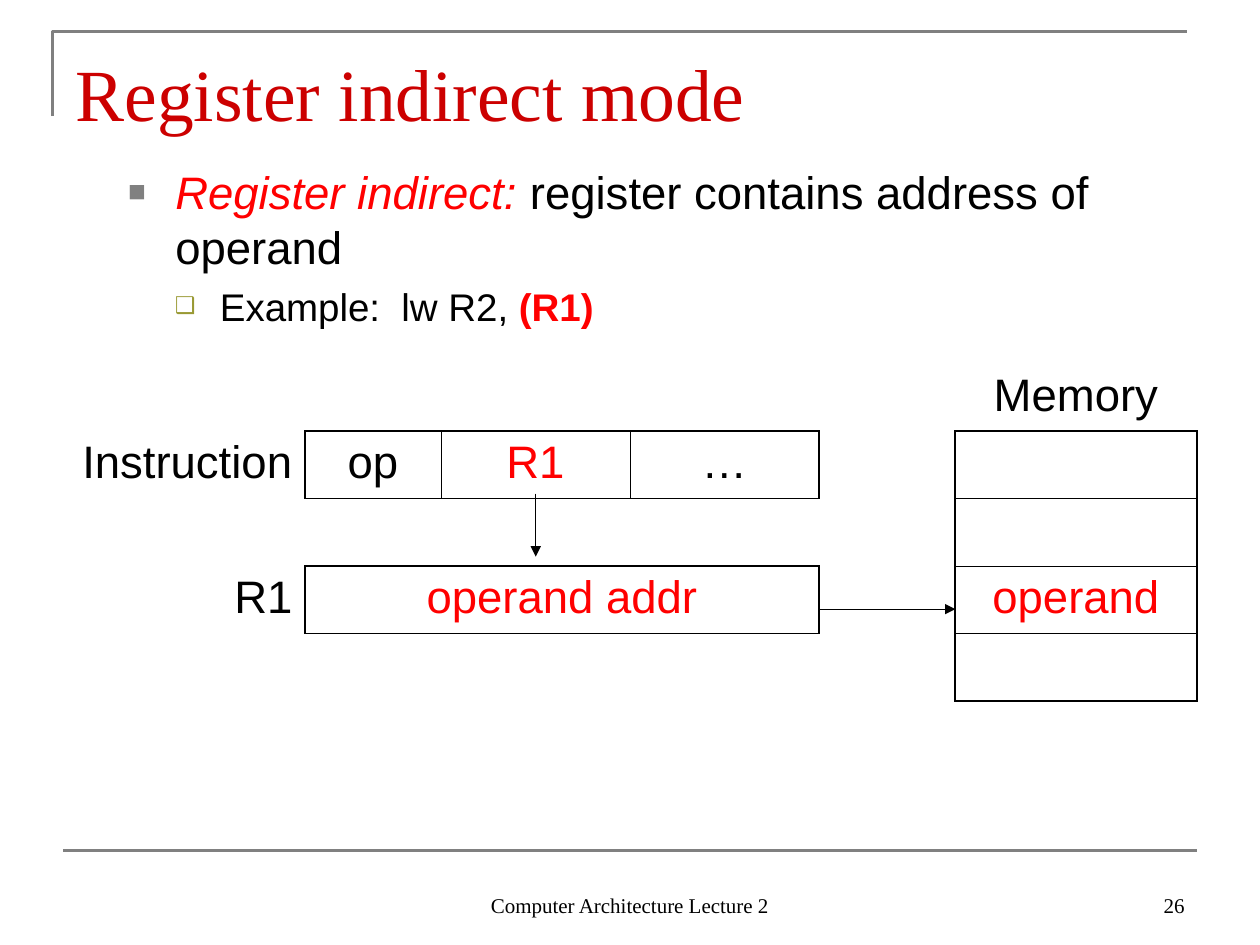
from collections import defaultdict
from dataclasses import dataclass
from lxml.etree import SubElement
from pptx import Presentation
from pptx.dml.color import RGBColor
from pptx.enum.shapes import MSO_CONNECTOR
from pptx.enum.text import MSO_ANCHOR, MSO_AUTO_SIZE, PP_ALIGN
from pptx.oxml import parse_xml
from pptx.oxml.ns import nsdecls, qn
from pptx.util import Cm, Pt


@dataclass(frozen=True)
class Theme:
    serif: str = "Times New Roman"
    sans: str = "Arial"
    black: str = "000000"
    red: str = "FF0000"
    title: str = "CC0000"
    grey: str = "808080"
    olive: str = "999933"
    head: float = 42
    text: float = 26
    sub: float = 22
    foot: float = 12
    rule: float = 1.5
    arrow: float = 0.75
    thick: float = 1.08
    thin: float = 0.45


class Deck:
    def __init__(self, theme, slide):
        self.theme = theme
        self.slide = slide

    def run(self, para, text, size, color=None, face=None, bold=False, italic=False):
        run = para.add_run()
        run.text = text
        font = run.font
        font.name = face or self.theme.sans
        font.size = Pt(size)
        font.bold = bold
        font.italic = italic
        font.color.rgb = RGBColor.from_string(color or self.theme.black)

    def place(self, shape, left, top, width, height):
        shape.left, shape.top = Cm(left), Cm(top)
        shape.width, shape.height = Cm(width), Cm(height)
        shape.text_frame.auto_size = MSO_AUTO_SIZE.NONE
        return shape.text_frame

    def title(self, text, *box):
        frame = self.place(self.slide.shapes.title, *box)
        frame.vertical_anchor = MSO_ANCHOR.BOTTOM
        frame.margin_bottom = 0
        para = frame.paragraphs[0]
        para.alignment = PP_ALIGN.LEFT
        self.run(para, text, self.theme.head, self.theme.title, self.theme.serif)

    def body(self, *box):
        return self.place(self.slide.placeholders[1], *box)

    def bullet(self, para, char, color, scale, left, hang):
        """Set a bullet of scale percent, with its text at left."""
        props = para._p.get_or_add_pPr()
        props.set("marL", str(Cm(left)))
        props.set("indent", str(-Cm(hang)))
        tint = SubElement(props, qn("a:buClr"))
        SubElement(tint, qn("a:srgbClr"), val=color)
        SubElement(props, qn("a:buSzPct"), val=str(scale * 1000))
        SubElement(props, qn("a:buFont"), typeface=self.theme.sans)
        SubElement(props, qn("a:buChar"), char=char)

    def note(self, text, align, *box):
        shape = self.slide.shapes.add_textbox(*map(Cm, box))
        frame = shape.text_frame
        frame.word_wrap = True
        frame.vertical_anchor = MSO_ANCHOR.BOTTOM
        para = frame.paragraphs[0]
        para.alignment = align
        self.run(para, text, self.theme.foot, face=self.theme.serif)

    def line(self, start, end, color, width, arrow=False):
        line = self.slide.shapes.add_connector(
            MSO_CONNECTOR.STRAIGHT, *map(Cm, start + end))
        line.line.color.rgb = RGBColor.from_string(color)
        line.line.width = Pt(width)
        if arrow:
            SubElement(line.line._get_or_add_ln(), qn("a:tailEnd"), type="triangle")
        SubElement(line._element.spPr, qn("a:effectLst"))

    def corner(self, *points):
        start, *rest = [tuple(map(Cm, point)) for point in points]
        pen = self.slide.shapes.build_freeform(*start)
        pen.add_line_segments(rest, close=False)
        shape = pen.convert_to_shape()
        shape.shadow.inherit = False
        shape.fill.background()
        shape.line.color.rgb = RGBColor.from_string(self.theme.grey)
        shape.line.width = Pt(self.theme.rule)

    def grid(self, left, top, widths, count, height):
        shape = self.slide.shapes.add_table(
            count, len(widths), Cm(left), Cm(top), Cm(sum(widths)), Cm(count * height))
        table = shape.table
        table.first_row = table.horz_banding = False
        style = table._tbl.tblPr.find(qn("a:tableStyleId"))
        style.text = "{2D5ABB26-0587-4C30-8999-92F81FD0307C}"
        for col, width in zip(table.columns, widths):
            col.width = Cm(width)
        for row in table.rows:
            row.height = Cm(height)
            for cell in row.cells:
                cell.fill.background()
        return table

    def cell(self, table, row, col, text, color=None, align=PP_ALIGN.CENTER):
        para = table.cell(row, col).text_frame.paragraphs[0]
        para.alignment = align
        self.run(para, text, self.theme.text, color)

    def edges(self, table, blocks):
        """Frame blocks (top, left, bottom, right, inner width) on both sides of each edge."""
        steps = {"L": (0, -1, "R"), "R": (0, 1, "L"), "T": (-1, 0, "B"), "B": (1, 0, "T")}
        lines = defaultdict(dict)
        for top, left, bottom, right, inner in blocks:
            for row in range(top, bottom + 1):
                for col in range(left, right + 1):
                    for side, (down, over, back) in steps.items():
                        near = row + down, col + over
                        inside = top <= near[0] <= bottom and left <= near[1] <= right
                        width = inner if inside else self.theme.thick
                        if width:
                            lines[row, col][side] = lines[near][back] = width
        rows, cols = len(table.rows), len(table.columns)
        for (row, col), sides in lines.items():
            if row >= rows or col >= cols:
                continue
            props = table.cell(row, col)._tc.get_or_add_tcPr()
            drawn = [side for side in steps if side in sides]
            for place, side in enumerate(drawn):
                props.insert(place, parse_xml(
                    f'<a:ln{side} {nsdecls("a")} w="{Pt(sides[side])}"><a:solidFill>'
                    f'<a:srgbClr val="{self.theme.black}"/></a:solidFill></a:ln{side}>'))


def main():
    show = Presentation()
    show.slide_width, show.slide_height = Cm(25.4), Cm(19.05)
    look = Theme()
    deck = Deck(look, show.slides.add_slide(show.slide_layouts[1]))

    deck.corner((1.06, 2.34), (1.06, 0.64), (23.92, 0.64))
    deck.line((1.27, 17.15), (24.13, 17.15), look.grey, look.rule)
    deck.note("Computer Architecture Lecture 2", PP_ALIGN.CENTER, 8.68, 17.35, 8.04, 1.27)
    deck.note("26", PP_ALIGN.RIGHT, 18.2, 17.35, 5.93, 1.27)
    deck.title("Register indirect mode", 1.27, 0.76, 22.86, 1.98)

    frame = deck.body(2.33, 3.18, 21.8, 6.7)
    para = frame.paragraphs[0]
    para.space_before = Pt(0)
    deck.bullet(para, "■", look.grey, 65, 0.95, 0.95)
    deck.run(para, "Register indirect: ", look.text, look.red, italic=True)
    deck.run(para, "register contains address of operand", look.text)
    para = frame.add_paragraph()
    para.level = 1
    para.space_before = Pt(5.5)
    deck.bullet(para, "❑", look.olive, 60, 1.85, 0.91)
    deck.run(para, "Example:  lw R2, ", look.sub)
    deck.run(para, "(R1)", look.sub, look.red, bold=True)

    table = deck.grid(1.27, 7.33, [4.88, 2.74, 3.81, 3.81, 2.74, 4.88], 5, 1.36)
    table.cell(3, 1).merge(table.cell(3, 3))
    deck.cell(table, 0, 5, "Memory")
    deck.cell(table, 1, 0, "Instruction", align=PP_ALIGN.RIGHT)
    deck.cell(table, 1, 1, "op")
    deck.cell(table, 1, 2, "R1", look.red)
    deck.cell(table, 1, 3, "…")
    deck.cell(table, 3, 0, "R1", align=PP_ALIGN.RIGHT)
    deck.cell(table, 3, 1, "operand addr", look.red)
    deck.cell(table, 3, 5, "operand", look.red)
    deck.edges(table, [(1, 1, 1, 3, look.thin), (3, 1, 3, 3, None), (1, 5, 4, 5, look.thin)])

    deck.line((10.8, 9.95), (10.8, 11.22), look.black, look.arrow, arrow=True)
    deck.line((16.51, 12.28), (19.26, 12.28), look.black, look.arrow, arrow=True)
    show.save("out.pptx")


if __name__ == "__main__":
    main()
